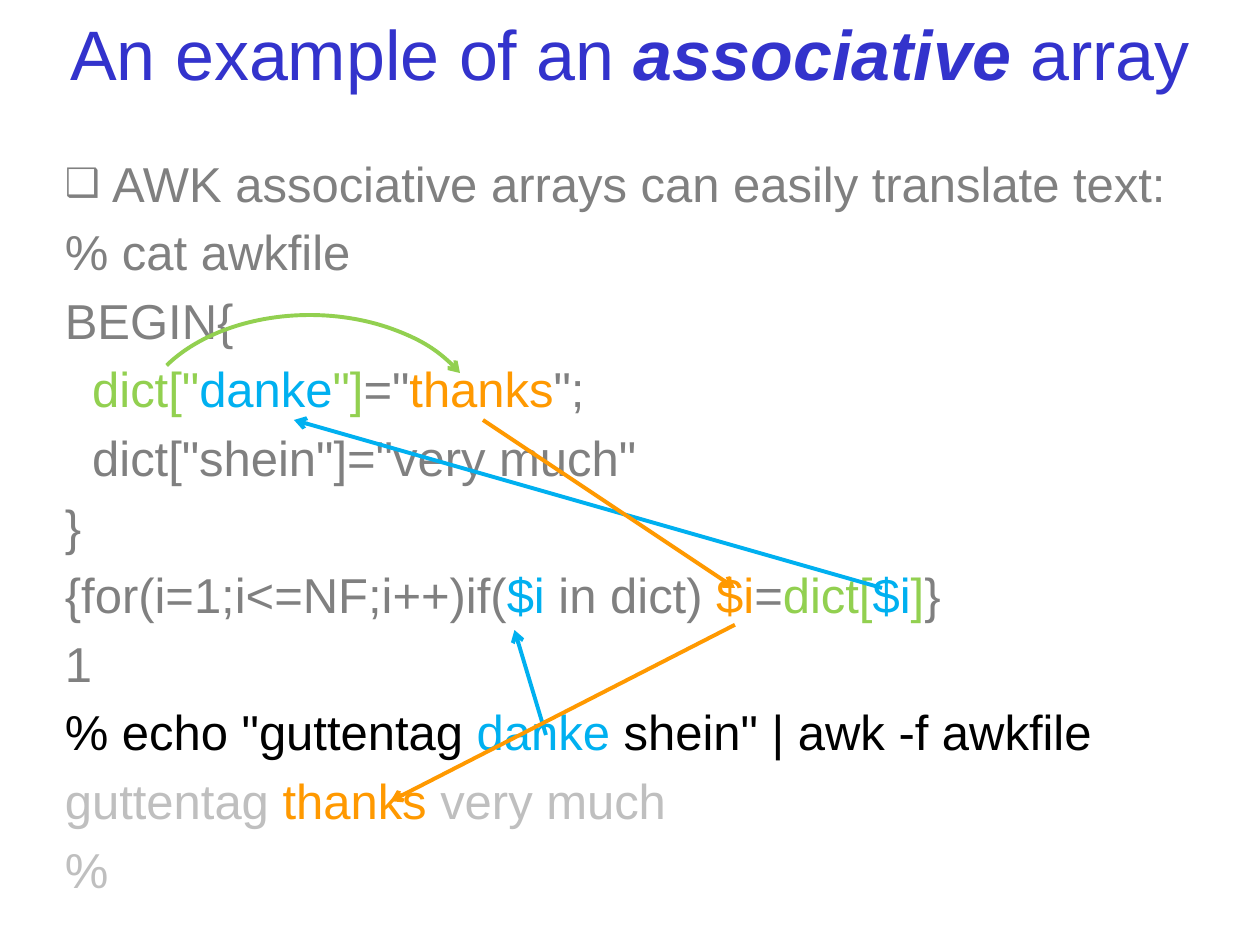
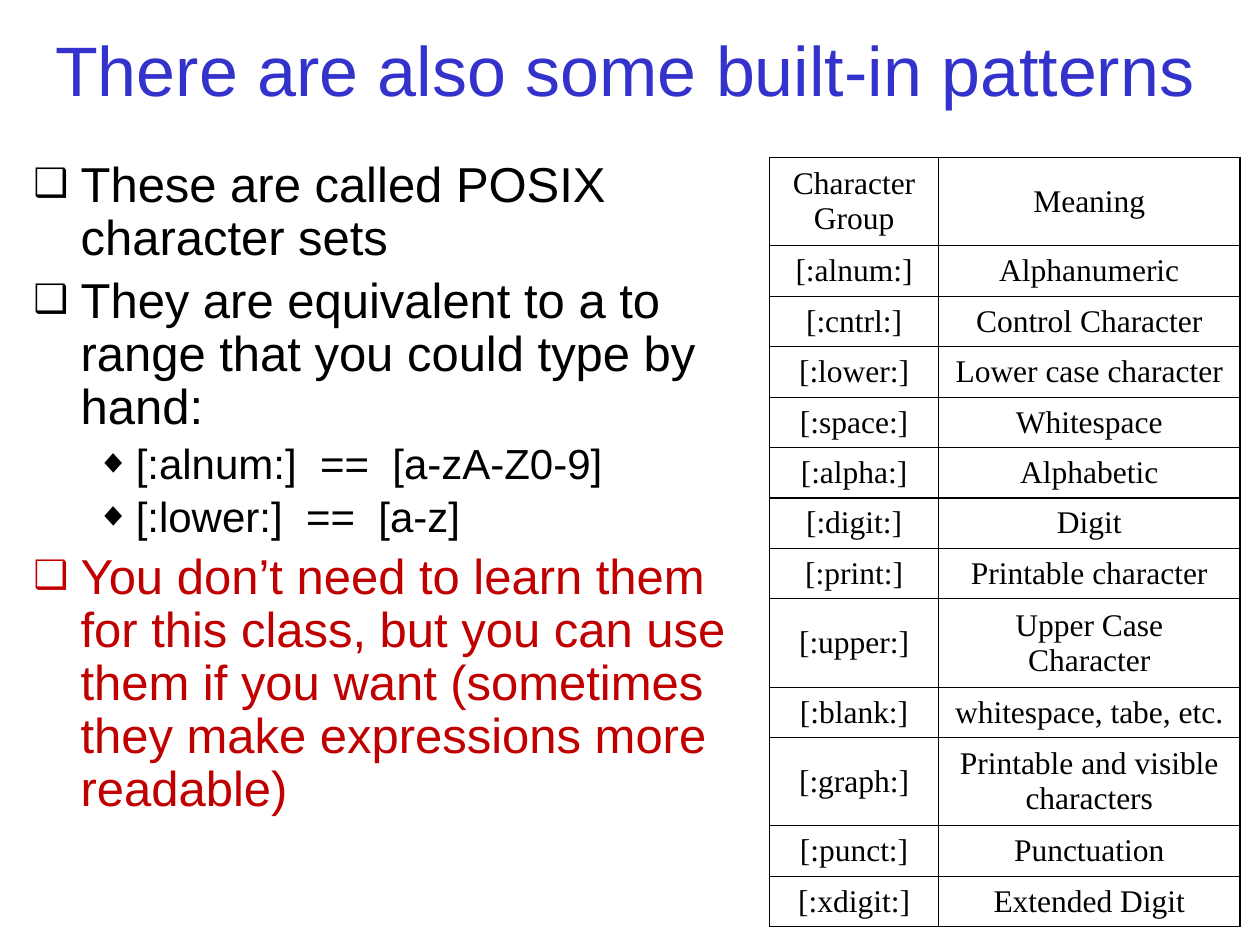
from dataclasses import dataclass

from lxml import etree
from pptx import Presentation
from pptx.dml.color import RGBColor
from pptx.enum.shapes import MSO_CONNECTOR, MSO_SHAPE
from pptx.enum.text import MSO_ANCHOR, PP_ALIGN
from pptx.oxml.ns import qn
from pptx.util import Inches, Pt


@dataclass(frozen=True)
class Theme:
    # Colours
    title: str = "3333CC"
    text: str = "000000"
    code: str = "808080"
    output: str = "BFBFBF"
    array: str = "92D050"
    key: str = "00B0F0"
    value: str = "FF9900"
    remark: str = "C00000"
    # Fonts, type sizes and line widths in points
    font: str = "Arial"
    table_font: str = "Times New Roman"
    title_size: int = 40
    body_size: int = 28
    detail_size: int = 24
    table_size: int = 18
    arrow_width: float = 2.25
    border_width: float = 0.75
    # Spacing as shares of the type size
    line_pitch: float = 1.2
    paragraph_gap: float = 0.2


THEME = Theme()
WIDTH, HEIGHT = Inches(10), Inches(7.5)
COLUMNS, ROWS = 120, 90

SQUARE, DIAMOND = "❑", "◆"
# Left margin and first-line indent, in grid columns
BULLET_INDENT = (4.5, -4.5)
DETAIL_INDENT = (9.75, -3.75)
BLOCK_INDENT = (2.6, 0)
NO_INDENT = (0, 0)


def across(columns):
    return round(WIDTH * columns / COLUMNS)


def down(rows):
    return round(HEIGHT * rows / ROWS)


def place(box):
    """Turn a (column, row, columns, rows) box into slide lengths."""
    left, top, width, height = box
    return across(left), down(top), across(width), down(height)


def rgb(colour):
    return RGBColor.from_string(colour)


def add_runs(paragraph, runs):
    for text, colour in runs:
        run = paragraph.add_run()
        run.text = text
        run.font.color.rgb = rgb(colour)


def set_indent(paragraph, indent, bullet=None):
    properties = paragraph._p.get_or_add_pPr()
    margin, first_line = indent
    properties.set("marL", str(across(margin)))
    properties.set("indent", str(across(first_line)))
    if bullet:
        etree.SubElement(properties, qn("a:buSzPct")).set("val", "80000")
        etree.SubElement(properties, qn("a:buFont")).set("typeface", THEME.font)
        etree.SubElement(properties, qn("a:buChar")).set("char", bullet)


def add_text_frame(slide, box):
    frame = slide.shapes.add_textbox(*place(box)).text_frame
    frame.word_wrap = True
    return frame


def add_title(slide, box, parts):
    """Parts are (text, emphasised) pairs on one centred line."""
    frame = add_text_frame(slide, box)
    frame.vertical_anchor = MSO_ANCHOR.MIDDLE
    paragraph = frame.paragraphs[0]
    paragraph.alignment = PP_ALIGN.CENTER
    paragraph.font.name = THEME.font
    paragraph.font.size = Pt(THEME.title_size)
    add_runs(paragraph, [(text, THEME.title) for text, _ in parts])
    for run, (_, emphasised) in zip(paragraph.runs, parts):
        run.font.bold = run.font.italic = emphasised


def add_body(slide, box, lines, tightness=1.0):
    """Lines are (runs, size, indent, bullet) tuples."""
    frame = add_text_frame(slide, box)
    for number, (runs, size, indent, bullet) in enumerate(lines):
        paragraph = frame.add_paragraph() if number else frame.paragraphs[0]
        paragraph.line_spacing = Pt(size * THEME.line_pitch * tightness)
        paragraph.space_before = Pt(size * THEME.paragraph_gap)
        set_indent(paragraph, indent, bullet)
        paragraph.font.name = THEME.font
        paragraph.font.size = Pt(size)
        add_runs(paragraph, runs)


def style_arrow(shape, colour):
    shape.line.color.rgb = rgb(colour)
    shape.line.width = Pt(THEME.arrow_width)
    outline = shape.line._get_or_add_ln()
    etree.SubElement(outline, qn("a:tailEnd")).set("type", "arrow")


def add_arrow(slide, start, end, colour):
    arrow = slide.shapes.add_connector(
        MSO_CONNECTOR.STRAIGHT,
        across(start[0]), down(start[1]), across(end[0]), down(end[1]))
    style_arrow(arrow, colour)
    etree.SubElement(arrow._element.spPr, qn("a:effectLst"))


def add_arc_arrow(slide, box, angles, colour):
    arc = slide.shapes.add_shape(MSO_SHAPE.ARC, *place(box))
    for number, degrees in enumerate(angles):
        arc.adjustments[number] = degrees * 0.6
    arc.fill.background()
    style_arrow(arc, colour)
    arc.shadow.inherit = False


def set_borders(cell):
    properties = cell._tc.get_or_add_tcPr()
    for position, side in enumerate(("lnL", "lnR", "lnT", "lnB")):
        line = etree.Element(qn(f"a:{side}"), w=str(Pt(THEME.border_width)))
        fill = etree.SubElement(line, qn("a:solidFill"))
        etree.SubElement(fill, qn("a:srgbClr")).set("val", THEME.text)
        properties.insert(position, line)


def add_pattern_table(slide, corner, column_widths, rows):
    """Rows are (group, meaning, height) tuples."""
    box = (*corner, sum(column_widths), sum(height for *_, height in rows))
    table = slide.shapes.add_table(
        len(rows), len(column_widths), *place(box)).table
    table.first_row = table.horz_banding = False
    for column, width in zip(table.columns, column_widths):
        column.width = across(width)
    for row, (*texts, height) in zip(table.rows, rows):
        row.height = down(height)
        for cell, text in zip(row.cells, texts):
            cell.fill.background()
            cell.vertical_anchor = MSO_ANCHOR.MIDDLE
            set_borders(cell)
            paragraph = cell.text_frame.paragraphs[0]
            paragraph.alignment = PP_ALIGN.CENTER
            paragraph.font.name = THEME.table_font
            paragraph.font.size = Pt(THEME.table_size)
            add_runs(paragraph, [(text, THEME.text)])


def build_array_slide(slide):
    add_title(slide, (2, 0, 116, 10), [
        ("An example of an ", False), ("associative", True), (" array", False)])

    # Program listing, with array, key and value in their own colours
    code, array, key, value = THEME.code, THEME.array, THEME.key, THEME.value
    listing = [
        ([("AWK associative arrays can easily translate text:", code)],
         BULLET_INDENT, SQUARE),
        ([("% cat awkfile", code)], NO_INDENT, None),
        ([("BEGIN{", code)], NO_INDENT, None),
        ([('dict["', array), ("danke", key), ('"]', array), ('="', code),
          ("thanks", value), ('";', code)], BLOCK_INDENT, None),
        ([('dict["shein"]="very much"', code)], BLOCK_INDENT, None),
        ([("}", code)], NO_INDENT, None),
        ([("{for(i=1;i<=NF;i++)if(", code), ("$i ", key), ("in dict) ", code),
          ("$i", value), ("=", code), ("dict[", array), ("$i", key),
          ("]", array), ("}", code)], NO_INDENT, None),
        ([("1", code)], NO_INDENT, None),
        ([('% echo "guttentag ', THEME.text), ("danke ", key),
          ('shein" | awk -f awkfile', THEME.text)], NO_INDENT, None),
        ([("guttentag ", THEME.output), ("thanks", value),
          (" very much", THEME.output)], NO_INDENT, None),
        ([("%", THEME.output)], NO_INDENT, None),
    ]
    add_body(slide, (5, 14, 111, 70),
             [(runs, THEME.body_size, indent, bullet)
              for runs, indent, bullet in listing])

    # Path of a word: input, key lookup, value, output
    add_arrow(slide, (52, 70), (49, 60), key)
    add_arrow(slide, (84, 56), (28, 40), key)
    add_arc_arrow(slide, (13, 30, 33, 22), (204.46, 339.07), array)
    add_arrow(slide, (46, 40), (70, 56), value)
    add_arrow(slide, (70, 59.5), (37.2, 76.3), value)


def build_patterns_slide(slide):
    add_title(slide, (3, 0, 113, 13),
              [("There are also some built-in patterns", False)])

    # Explanation
    point = (THEME.body_size, BULLET_INDENT, SQUARE)
    detail = (THEME.detail_size, DETAIL_INDENT, DIAMOND)
    lines = [
        ("These are called POSIX character sets", THEME.text, point),
        ("They are equivalent to a to range that you could type by hand:",
         THEME.text, point),
        ("[:alnum:]  ==  [a-zA-Z0-9]", THEME.text, detail),
        ("[:lower:]  ==  [a-z]", THEME.text, detail),
        ("You don’t need to learn them for this class, but you can use them "
         "if you want (sometimes they make expressions more readable)",
         THEME.remark, point),
    ]
    add_body(slide, (2, 14.6, 69, 69.4),
             [([(text, colour)], *style) for text, colour, style in lines],
             tightness=0.9)

    # Character groups
    single, double = 4.5, 7.8
    add_pattern_table(slide, (73.3, 15), (16.1, 28.7), [
        ("Character Group", "Meaning", double),
        ("[:alnum:]", "Alphanumeric", single),
        ("[:cntrl:]", "Control Character", single),
        ("[:lower:]", "Lower case character", single),
        ("[:space:]", "Whitespace", single),
        ("[:alpha:]", "Alphabetic", single),
        ("[:digit:]", "Digit", single),
        ("[:print:]", "Printable character", single),
        ("[:upper:]", "Upper Case Character", double),
        ("[:blank:]", "whitespace, tabe, etc.", single),
        ("[:graph:]", "Printable and visible characters", double),
        ("[:punct:]", "Punctuation", single),
        ("[:xdigit:]", "Extended Digit", single),
    ])


def main():
    presentation = Presentation()
    presentation.slide_width, presentation.slide_height = WIDTH, HEIGHT
    blank = presentation.slide_layouts[6]
    for build in (build_array_slide, build_patterns_slide):
        build(presentation.slides.add_slide(blank))
    presentation.save("out.pptx")


if __name__ == "__main__":
    main()
